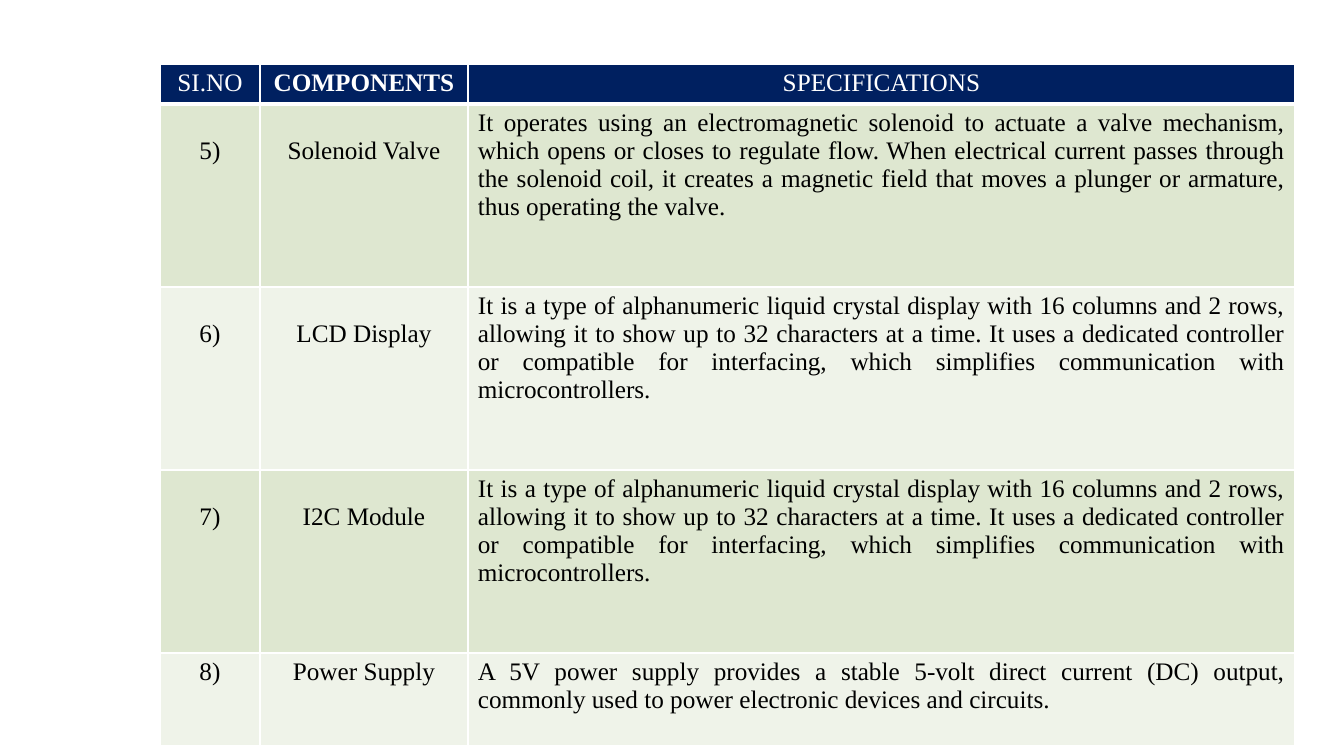
from lxml import etree
from pptx import Presentation
from pptx.dml.color import RGBColor
from pptx.enum.text import MSO_ANCHOR, PP_ALIGN
from pptx.oxml.ns import qn
from pptx.util import Pt

CENTER, JUSTIFY, TOP = PP_ALIGN.CENTER, PP_ALIGN.JUSTIFY, MSO_ANCHOR.TOP
SCALE = 12192000 / 1344  # EMU per px
COLORS = {"head": "002060", "odd": "DEE7D0", "even": "EFF3E9",
          "light": "FFFFFF", "dark": "000000"}
LEFT, HIGH = 160, 64
COLS = [100, 208, 827]
ROWS = [40, 183, 183, 183, 93]
PAD, LINE = 5, 28  # cell padding and height of one text line

DISPLAY = ("It is a type of alphanumeric liquid crystal display with 16 columns "
           "and 2 rows, allowing it to show up to 32 characters at a time. It "
           "uses a dedicated controller or compatible for interfacing, which "
           "simplifies communication with microcontrollers.")
DATA = [
    ("SI.NO", "COMPONENTS", "SPECIFICATIONS"),
    ("5)", "Solenoid Valve",
     "It operates using an electromagnetic solenoid to actuate a valve "
     "mechanism, which opens or closes to regulate flow. When electrical "
     "current passes through the solenoid coil, it creates a magnetic field "
     "that moves a plunger or armature, thus operating the valve."),
    ("6)", "LCD Display", DISPLAY),
    ("7)", "I2C Module", DISPLAY),
    ("8)", "Power Supply",
     "A 5V power supply provides a stable 5-volt direct current (DC) output, "
     "commonly used to power electronic devices and circuits."),
]


def px(size):
    return round(size * SCALE)


def apply(item, form):
    for name, value in form.items():
        setattr(item, name, value)


def add_rules(cell, widths):
    props = cell._tc.get_or_add_tcPr()
    for side, width in widths.items():
        rule = etree.SubElement(props, qn("a:ln" + side), w=str(Pt(width)))
        fill = etree.SubElement(rule, qn("a:solidFill"))
        etree.SubElement(fill, qn("a:srgbClr"), val=COLORS["light"])


def fill_cell(cell, text, row, col):
    head = row == 0
    # Labels in the tall rows sit one line lower
    drop = LINE if 0 < row < len(ROWS) - 1 and col < 2 else 0
    apply(cell, {"margin_left": px(10), "margin_right": px(10),
                 "margin_top": px(PAD + drop), "margin_bottom": px(PAD),
                 "vertical_anchor": TOP})
    add_rules(cell, {"L": 1, "R": 1, "T": 3 if row == 1 else 1,
                     "B": 3 if head else 1})
    shade = "head" if head else "odd" if row % 2 else "even"
    cell.fill.solid()
    cell.fill.fore_color.rgb = RGBColor.from_string(COLORS[shade])

    para = cell.text_frame.paragraphs[0]
    para.alignment = JUSTIFY if col == 2 and not head else CENTER
    run = para.add_run()
    run.text = text
    apply(run.font, {"name": "Times New Roman", "size": Pt(18),
                     "bold": head and col == 1})
    run.font.color.rgb = RGBColor.from_string(COLORS["light" if head else "dark"])


def add_grid(slide):
    frame = slide.shapes.add_table(len(ROWS), len(COLS), px(LEFT), px(HIGH),
                                   px(sum(COLS)), px(sum(ROWS)))
    table = frame.table
    for col, width in zip(table.columns, COLS):
        col.width = px(width)
    for row, height in zip(table.rows, ROWS):
        row.height = px(height)
    for row, texts in enumerate(DATA):
        for col, text in enumerate(texts):
            fill_cell(table.cell(row, col), text, row, col)


def main():
    deck = Presentation()
    apply(deck, {"slide_width": px(1344), "slide_height": px(756)})
    slide = deck.slides.add_slide(deck.slide_layouts[6])
    # Component table
    add_grid(slide)
    deck.save("out.pptx")


if __name__ == "__main__":
    main()
